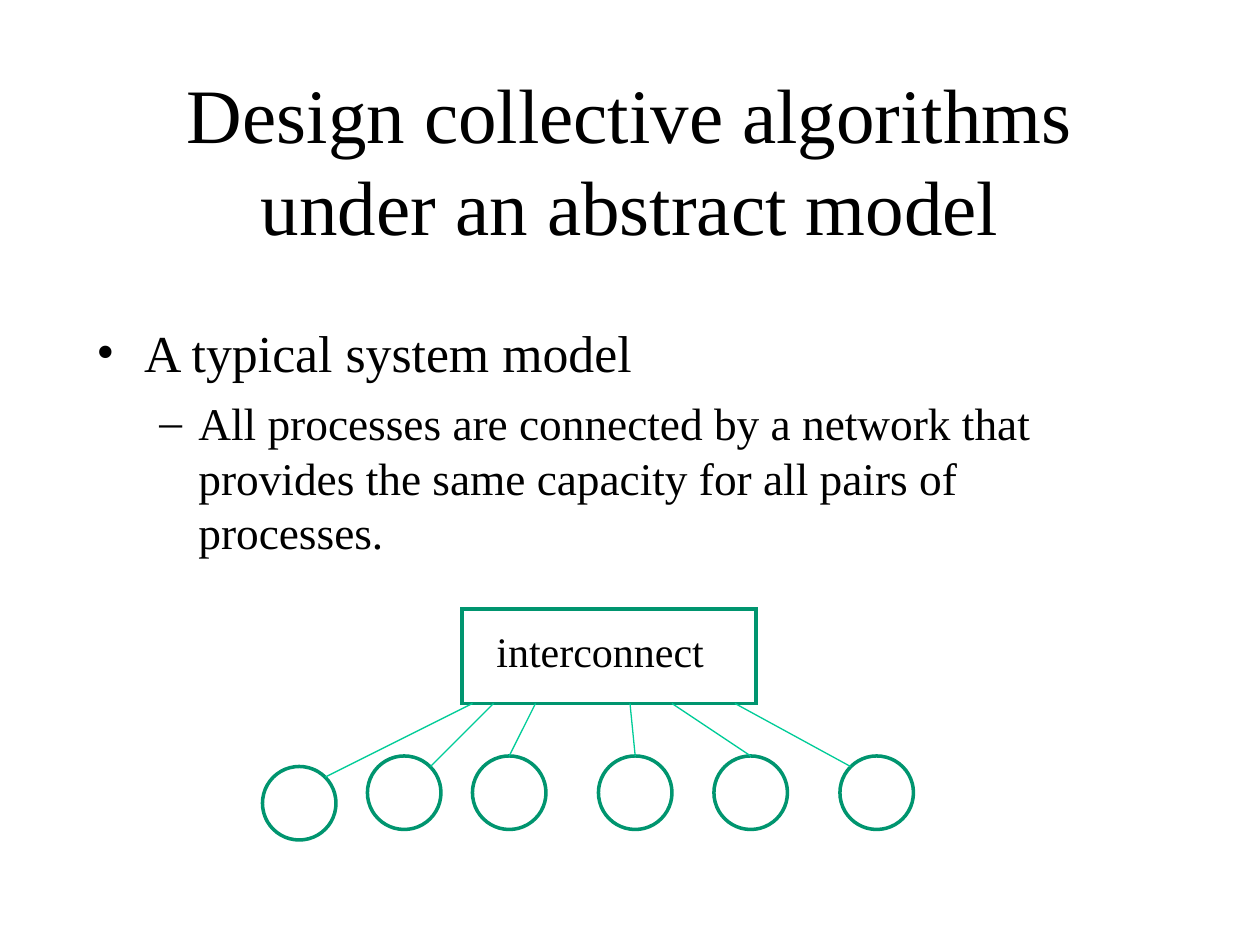
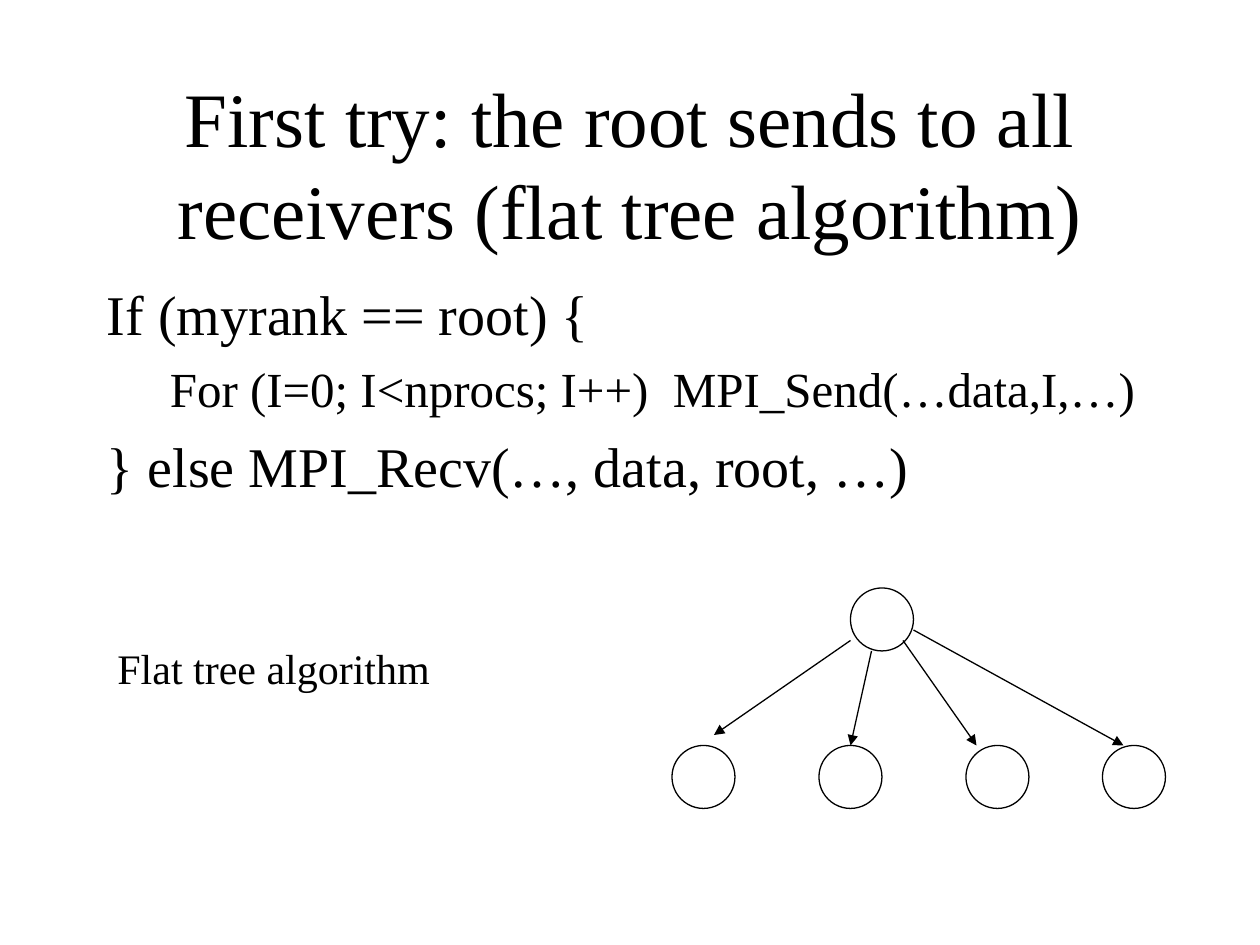
from lxml import etree
from pptx import Presentation
from pptx import util as u
from pptx.dml import color
from pptx.enum import shapes, text
from pptx.oxml import ns

FONT = "Times New Roman"
BLACK, WHITE, GREEN, MINT = "000000", "FFFFFF", "00956F", "00CC98"
TITLE_ONLY = 5

# All places are in grid units of a twelfth of an inch.
UNIT = u.Inches(1) / 12
TITLE_LEFT, TITLE_WIDTH, TITLE_HEIGHT = 9, 102, 15

# Outline level: (left margin, first-line indent, space before)
LEVELS = [(0.38, -0.38, 8), (0.81, -0.31, 7)]

SLIDES = [
    {
        "title": "Design collective algorithms under an abstract model",
        "title_top": 12,
        "title_bottom_inset": 0.78,
        "body_box": (8, 30, 102, 24),
        "sizes": (29.6, 25.9),
        "bullets": "•–",
        "body": [
            (0, "A typical system model"),
            (1, "All processes are connected by a network that provides "
                "the same capacity for all pairs of processes."),
        ],
        "network": (44, 58, 28, 9),
        "label": ("interconnect", (46.1, 59, 22.5, 6)),
        "nodes": [(25, 73), (35, 72), (45, 72), (57, 72), (68, 72), (80, 72)],
        "node_size": 7,
        "node_style": {"fill": WHITE, "line": GREEN, "width": 2},
        "links": [
            ((31, 74), (45, 67)), ((41, 73), (47, 67)), ((48.5, 72), (51, 67)),
            ((60.5, 72), (60, 67)), ((64, 67), (71.5, 72)), ((70, 67), (81, 73)),
        ],
        "link_style": {"line": MINT},
    },
    {
        "title": "First try: the root sends to all receivers (flat tree algorithm)",
        "title_top": 8,
        "title_bottom_inset": 0.05,
        "body_box": (9, 26, 102, 25),
        "sizes": (32, 28),
        "bullets": None,
        "body": [
            (0, "If (myrank == root) {"),
            (1, "For (I=0; I<nprocs; I++)  MPI_Send(…data,I,…)"),
            (0, "} else MPI_Recv(…, data, root, …)"),
        ],
        "network": None,
        "label": ("Flat tree algorithm", (10, 60.6, 32.5, 6)),
        "nodes": [(81, 56), (64, 71), (78, 71), (92, 71), (105, 71)],
        "node_size": 6,
        "node_style": {"fill": None, "line": BLACK, "width": 0.75},
        "links": [
            ((81, 61), (68, 70)), ((83, 62), (81, 71)),
            ((86, 61), (93, 71)), ((87, 60), (107, 71)),
        ],
        "link_style": {"line": BLACK, "arrow": True},
    },
]


def rgb(value):
    return color.RGBColor.from_string(value)


def grid(*values):
    return [round(value * UNIT) for value in values]


def write(paragraph, words, size=24, align=text.PP_ALIGN.LEFT):
    run = paragraph.add_run()
    run.text = words
    run.font.name, run.font.size = FONT, u.Pt(size)
    run.font.color.rgb = rgb(BLACK)
    paragraph.alignment = align


def set_outline(paragraph, level, bullet):
    """Give the paragraph its level's indent, spacing and bullet."""
    margin, indent, space = LEVELS[level]
    paragraph.level, paragraph.space_before = level, u.Pt(space)
    properties = paragraph._p.get_or_add_pPr()
    properties.set("marL", str(u.Inches(margin)))
    properties.set("indent", str(u.Inches(indent)))
    if bullet:
        etree.SubElement(properties, ns.qn("a:buFont"), typeface=FONT)
        etree.SubElement(properties, ns.qn("a:buChar"), char=bullet)
    else:
        etree.SubElement(properties, ns.qn("a:buNone"))


def add_title(slide, words, top, bottom_inset):
    title = slide.shapes.title
    title.left, title.top, title.width, title.height = grid(
        TITLE_LEFT, top, TITLE_WIDTH, TITLE_HEIGHT)
    frame = title.text_frame
    frame.auto_size = text.MSO_AUTO_SIZE.NONE
    frame.vertical_anchor = text.MSO_ANCHOR.MIDDLE
    frame.margin_bottom = u.Inches(bottom_inset)
    write(frame.paragraphs[0], words, size=44, align=text.PP_ALIGN.CENTER)


def add_body(slide, box, items, sizes, bullets):
    frame = slide.shapes.add_textbox(*grid(*box)).text_frame
    frame.word_wrap = True
    for index, (level, words) in enumerate(items):
        paragraph = frame.add_paragraph() if index else frame.paragraphs[0]
        write(paragraph, words, size=sizes[level])
        set_outline(paragraph, level, bullets and bullets[level])


def add_label(slide, words, box):
    frame = slide.shapes.add_textbox(*grid(*box)).text_frame
    frame.word_wrap = False
    frame.auto_size = text.MSO_AUTO_SIZE.NONE
    write(frame.paragraphs[0], words)


def add_outlined(slide, kind, box, fill, line, width):
    shape = slide.shapes.add_shape(kind, *grid(*box))
    shape.shadow.inherit = False
    if fill:
        shape.fill.solid()
        shape.fill.fore_color.rgb = rgb(fill)
    else:
        shape.fill.background()
    shape.line.color.rgb, shape.line.width = rgb(line), u.Pt(width)
    etree.SubElement(shape.line._get_or_add_ln(), ns.qn("a:miter"), lim="800000")


def add_link(slide, start, end, line, arrow=False):
    connector = slide.shapes.add_connector(
        shapes.MSO_CONNECTOR.STRAIGHT, *grid(*start, *end))
    connector.line.color.rgb, connector.line.width = rgb(line), u.Pt(0.75)
    if arrow:
        etree.SubElement(connector.line._get_or_add_ln(),
                         ns.qn("a:tailEnd"), type="triangle")
    etree.SubElement(connector._element.spPr, ns.qn("a:effectLst"))


def build_slide(presentation, content):
    slide = presentation.slides.add_slide(presentation.slide_layouts[TITLE_ONLY])
    add_title(slide, content["title"], content["title_top"],
              content["title_bottom_inset"])
    add_body(slide, content["body_box"], content["body"],
             content["sizes"], content["bullets"])
    style, size = content["node_style"], content["node_size"]
    if content["network"]:
        add_outlined(slide, shapes.MSO_SHAPE.RECTANGLE, content["network"], **style)
    add_label(slide, *content["label"])
    for left, top in content["nodes"]:
        add_outlined(slide, shapes.MSO_SHAPE.OVAL, (left, top, size, size), **style)
    for start, end in content["links"]:
        add_link(slide, start, end, **content["link_style"])


def main():
    presentation = Presentation()
    presentation.slide_width, presentation.slide_height = u.Inches(10), u.Inches(7.5)
    for content in SLIDES:
        build_slide(presentation, content)
    presentation.save("out.pptx")


if __name__ == "__main__":
    main()
